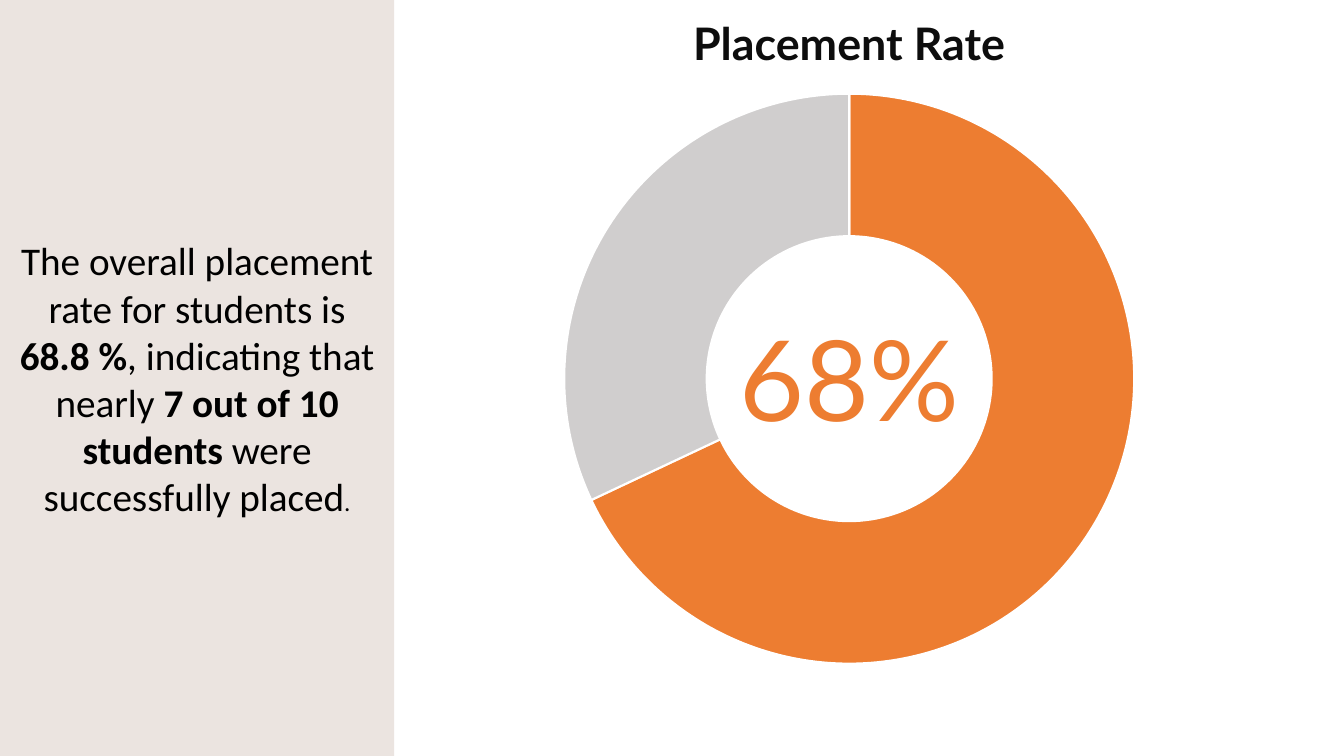
from dataclasses import dataclass

from pptx import Presentation
from pptx.chart.data import CategoryChartData
from pptx.dml.color import RGBColor
from pptx.enum.chart import XL_CHART_TYPE as ChartType
from pptx.enum.shapes import MSO_SHAPE as Shape
from pptx.enum.text import MSO_ANCHOR as Anchor, PP_ALIGN as Align
from pptx.util import Pt


@dataclass(frozen=True)
class Theme:
    panel: RGBColor = RGBColor.from_string("EBE4E0")
    ink: RGBColor = RGBColor.from_string("000000")
    heading: RGBColor = RGBColor.from_string("0D0D0D")
    accent: RGBColor = RGBColor.from_string("ED7D31")
    muted: RGBColor = RGBColor.from_string("D0CECE")
    white: RGBColor = RGBColor.from_string("FFFFFF")
    body_font: str = "Calibri"
    display_font: str = "Lato"
    chart_size: int = 10
    stop_size: int = 18
    body_size: int = 28
    title_size: int = 32
    figure_size: int = 80


THEME = Theme()


def style(font, name, size, color, bold=False):
    font.name = name
    font.size = Pt(size)
    font.color.rgb = color
    font.bold = bold


def add_summary(page, left, top, width, height):
    panel = page.shapes.add_shape(Shape.RECTANGLE, Pt(left), Pt(top), Pt(width), Pt(height))
    panel.shadow.inherit = False
    panel.fill.solid()
    panel.fill.fore_color.rgb = THEME.panel
    panel.line.fill.background()
    frame = panel.text_frame
    frame.word_wrap = True
    frame.vertical_anchor = Anchor.MIDDLE
    para = frame.paragraphs[0]
    para.alignment = Align.CENTER
    pieces = [
        ("The overall placement rate for students is ", False, THEME.body_size),
        ("68.8 %", True, THEME.body_size),
        (", indicating that nearly ", False, THEME.body_size),
        ("7 out of 10 students", True, THEME.body_size),
        (" were successfully placed", False, THEME.body_size),
        (".", False, THEME.stop_size),
    ]
    for text, bold, size in pieces:
        span = para.add_run()
        span.text = text
        style(span.font, THEME.body_font, size, THEME.ink, bold)


def add_label(page, left, top, width, height, text, size, color, bold=False):
    label = page.shapes.add_textbox(Pt(left), Pt(top), Pt(width), Pt(height))
    frame = label.text_frame
    frame.word_wrap = True
    frame.text = text
    para = frame.paragraphs[0]
    para.alignment = Align.CENTER
    style(para.runs[0].font, THEME.display_font, size, color, bold)


def add_ring(page, left, top, width, height):
    data = CategoryChartData()
    data.categories = ["1", "2"]
    data.add_series("Series 1", (68, 32))
    chart = page.shapes.add_chart(
        ChartType.DOUGHNUT, Pt(left), Pt(top), Pt(width), Pt(height), data
    ).chart
    chart.has_legend = False
    chart.has_title = False
    style(chart.font, THEME.body_font, THEME.chart_size, THEME.ink)
    plot = chart.plots[0]
    plot.vary_by_categories = True
    for hole in plot._element.xpath("c:holeSize"):
        hole.set("val", "75")
    for index, color in enumerate((THEME.accent, THEME.muted)):
        slice_format = plot.series[0].points[index].format
        slice_format.fill.solid()
        slice_format.fill.fore_color.rgb = color
        slice_format.line.color.rgb = THEME.white
        slice_format.line.width = Pt(1.5)


def add_placement(page, left, top, width, height):
    center = left + width / 2
    title_width, figure_width, figure_height = 351.4, 202.3, 104.4
    add_label(page, center - title_width / 2, top + 8, title_width, 75,
              "Placement Rate", THEME.title_size, THEME.heading, True)
    add_ring(page, left, top + 57, width, 427)
    add_label(page, center - figure_width / 2, top + (height - figure_height) / 2,
              figure_width, figure_height, "68%", THEME.figure_size, THEME.accent)


def main():
    deck = Presentation()
    deck.slide_width, deck.slide_height = Pt(960), Pt(540)
    page = deck.slides.add_slide(deck.slide_layouts[6])
    add_summary(page, 0, 0, 281.5, 540)
    add_placement(page, 286.6, 0, 640, 540)
    deck.save("out.pptx")


if __name__ == "__main__":
    main()
